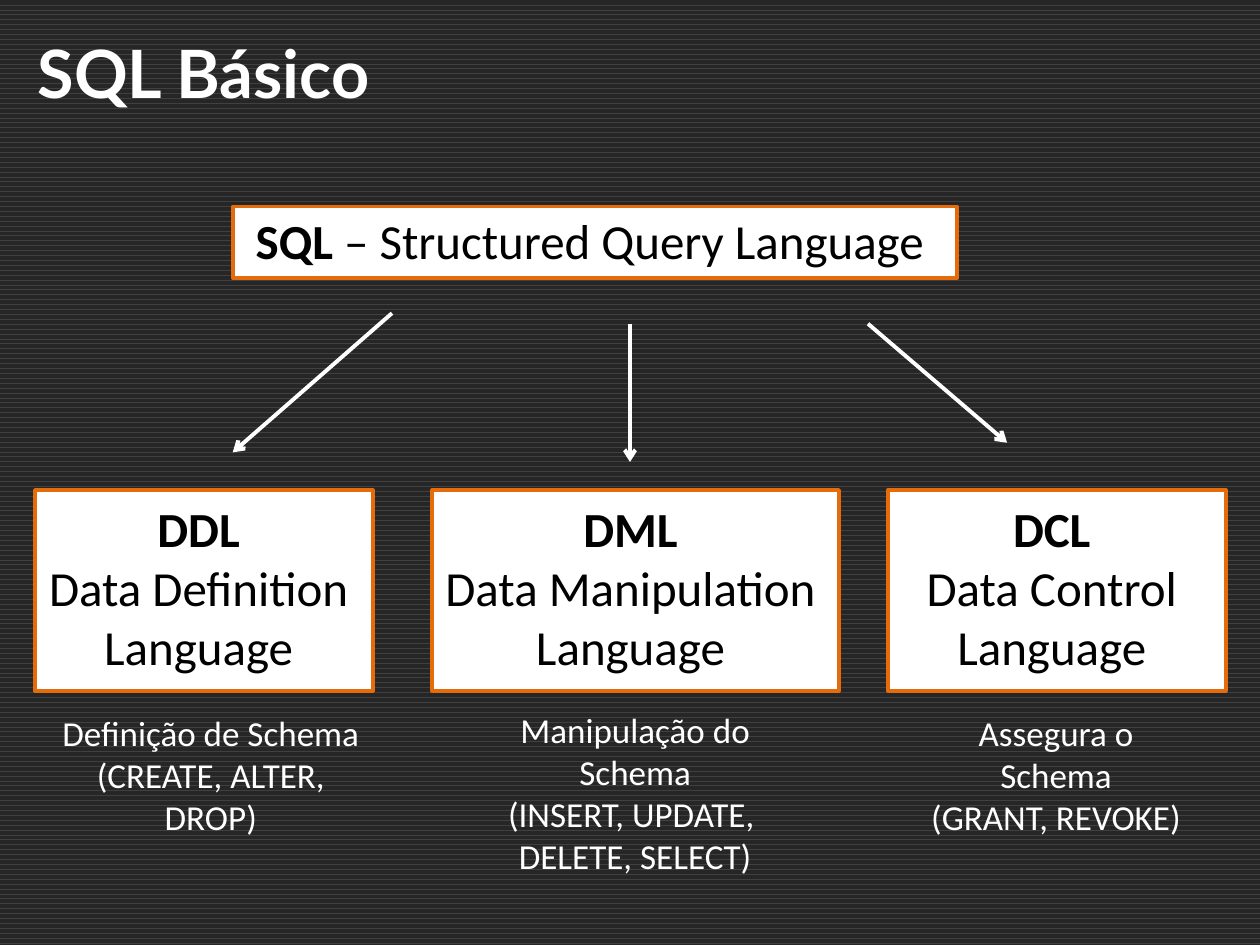
import dataclasses

import lxml.etree
import pptx
import pptx.dml.color
import pptx.enum.dml
import pptx.enum.shapes
import pptx.enum.text
import pptx.oxml.ns
import pptx.util

Pt = pptx.util.Pt
qn = pptx.oxml.ns.qn


@dataclasses.dataclass(frozen=True)
class Theme:
    back: str = "262626"
    stripe: str = "404040"
    light: str = "FFFFFF"
    dark: str = "000000"
    accent: str = "E46C0A"
    title_font: str = "Lato"
    body_font: str = "Calibri"
    title_size: int = 38
    label_size: int = 28
    caption_size: int = 20
    border: float = 2
    arrow: float = 2.25


THEME = Theme()


def rgb(value):
    return pptx.dml.color.RGBColor.from_string(value)


def add_text(slide, box, paragraphs, size, color, font=THEME.body_font, center=True):
    """Each paragraph is a list of (text, bold) runs."""
    sp = slide.shapes.add_textbox(*map(Pt, box))
    tf = sp.text_frame
    tf.word_wrap = True
    for i, runs in enumerate(paragraphs):
        p = tf.paragraphs[0] if i == 0 else tf.add_paragraph()
        if center:
            p.alignment = pptx.enum.text.PP_ALIGN.CENTER
        for text, bold in runs:
            r = p.add_run()
            r.text = text
            r.font.name = font
            r.font.size = Pt(size)
            r.font.bold = bold
            r.font.color.rgb = rgb(color)
    return sp


def add_panel(slide, box):
    sp = slide.shapes.add_shape(pptx.enum.shapes.MSO_SHAPE.RECTANGLE, *map(Pt, box))
    sp.shadow.inherit = False
    sp.fill.solid()
    sp.fill.fore_color.rgb = rgb(THEME.light)
    sp.line.color.rgb = rgb(THEME.accent)
    sp.line.width = Pt(THEME.border)
    return sp


def add_arrow(slide, start, end):
    line = slide.shapes.add_connector(
        pptx.enum.shapes.MSO_CONNECTOR.STRAIGHT, *map(Pt, start + end))
    line.line.color.rgb = rgb(THEME.light)
    line.line.width = Pt(THEME.arrow)
    ln = line.line._get_or_add_ln()
    lxml.etree.SubElement(ln, qn("a:tailEnd")).set("type", "arrow")
    lxml.etree.SubElement(ln.getparent(), qn("a:effectLst"))
    return line


def add_branch(slide, left, width, label, caption, caption_box):
    top = 280
    add_panel(slide, (left, top, width, 115))
    name, *expansion = label
    add_text(slide, (left - 6, top + 1.5, width + 6, 109),
             [[(name, True)]] + [[(line, False)] for line in expansion],
             THEME.label_size, THEME.dark)
    center, caption_top, caption_width = caption_box
    add_text(slide, (center - caption_width / 2, caption_top, caption_width, 56),
             [[(line, False)] for line in caption],
             THEME.caption_size, THEME.light)


def set_background(slide):
    fill = slide.background.fill
    fill.patterned()
    fill.pattern = pptx.enum.dml.MSO_PATTERN.WAVE
    fill.fore_color.rgb = rgb(THEME.stripe)
    fill.back_color.rgb = rgb(THEME.back)


def main():
    prs = pptx.Presentation()
    prs.slide_width, prs.slide_height = Pt(720), Pt(540)
    slide = prs.slides.add_slide(prs.slide_layouts[6])
    set_background(slide)

    # Title
    add_text(slide, (14.4, 15, 698, 45), [[("SQL Básico", True)]],
             THEME.title_size, THEME.light, font=THEME.title_font, center=False)

    # Root of the tree
    add_panel(slide, (133, 118, 414, 41))
    add_text(slide, (139, 116.5, 408, 41),
             [[("SQL", True), (" – Structured Query Language", False)]],
             THEME.label_size, THEME.dark, center=False)

    # Arrows to the branches
    for start, end in [((224, 179), (133, 258.5)),
                       ((360, 185), (360, 264)),
                       ((496, 185), (575.5, 253))]:
        add_arrow(slide, start, end)

    # Branches: left, width, label, caption, caption (center, top, width)
    branches = [
        (20, 193, ("DDL", "Data Definition", "Language"),
         ("Definição de Schema", "(CREATE, ALTER, DROP)"), (120.5, 403, 194)),
        (247, 232.5, ("DML", "Data Manipulation", "Language"),
         ("Manipulação do Schema", "(INSERT, UPDATE, ", "DELETE, SELECT)"),
         (363, 401.5, 202)),
        (507.5, 193, ("DCL", "Data Control", "Language"),
         ("Assegura o Schema", "(GRANT, REVOKE)"), (603.5, 403, 166)),
    ]
    for branch in branches:
        add_branch(slide, *branch)

    prs.save("out.pptx")


main()
